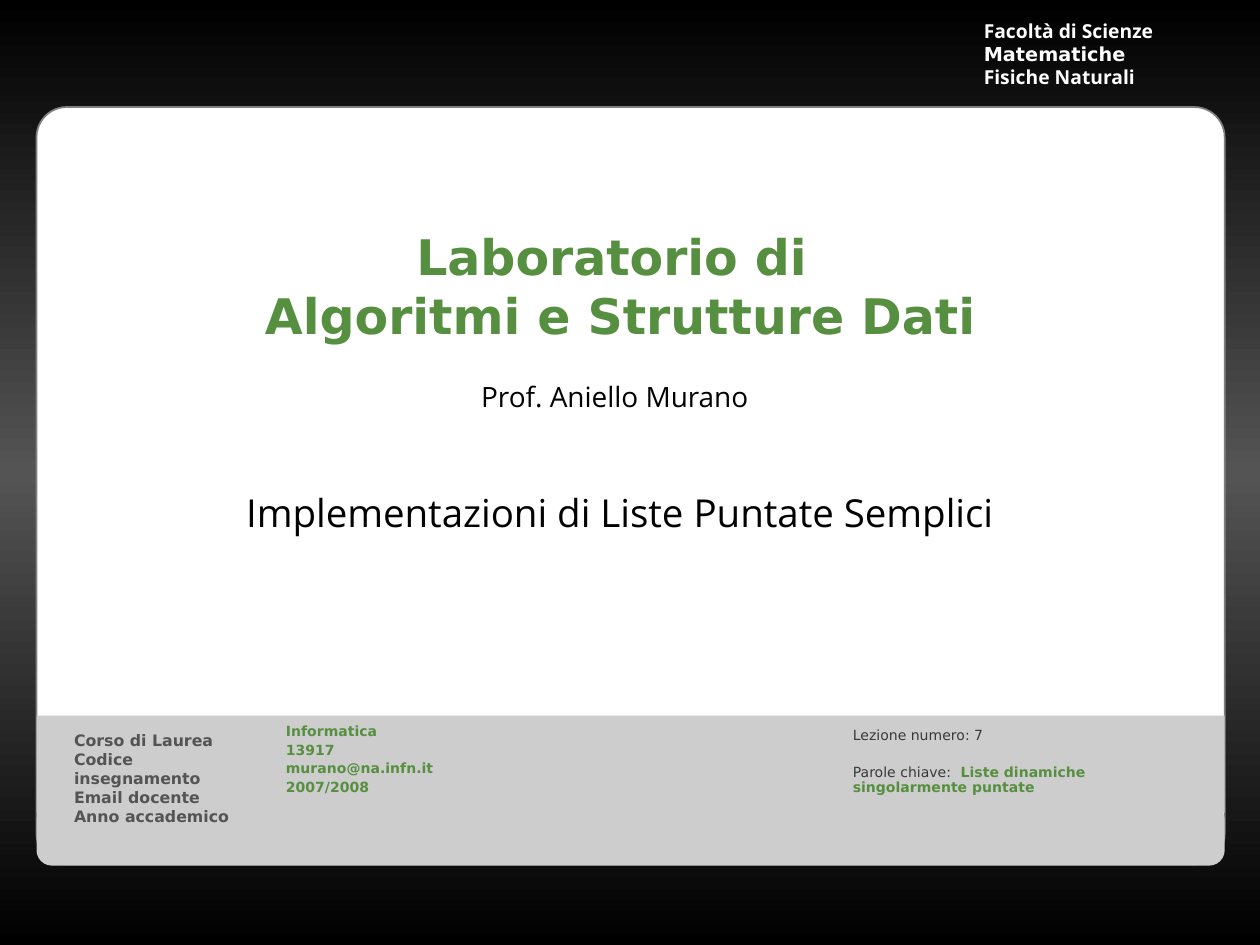
from collections import namedtuple
from copy import deepcopy

from pptx import Presentation
from pptx import util as u
from pptx.dml.color import RGBColor
from pptx.enum import shapes, text

COLORS = {
    "black": "000000", "glow": "545454", "white": "FFFFFF", "edge": "808080",
    "band": "CDCDCD", "green": "568F3F", "label": "545454", "lesson": "393939",
}
SANS, OPEN = "DejaVu Sans", "Open Sans"
Box = namedtuple("Box", "left top width height")


def rgb(name):
    return RGBColor.from_string(COLORS[name])


def part(box, left, top, width, height):
    return Box(int(box.left + box.width * left / 100),
               int(box.top + box.height * top / 100),
               int(box.width * width / 100),
               int(box.height * height / 100))


def add_panel(slide, kind, box, fill, corner=None, edge=None):
    panel = slide.shapes.add_shape(kind, *box)
    panel.shadow.inherit = False
    panel.fill.solid()
    panel.fill.fore_color.rgb = rgb(fill)
    if corner:
        panel.adjustments[0] = corner
    if edge:
        panel.line.color.rgb = rgb(edge)
        panel.line.width = u.Pt(1)
    else:
        panel.line.fill.background()


def style(run, size, font, color, bold=False):
    run.font.size = u.Pt(size)
    run.font.name = font
    run.font.bold = bold
    run.font.color.rgb = rgb(color)


def add_text(slide, box, lines, size, font, color, bold=False, fill=None,
             align=text.PP_ALIGN.LEFT, spacing=None, gap=0):
    area = slide.shapes.add_textbox(*box)
    if fill:
        area.fill.solid()
        area.fill.fore_color.rgb = rgb(fill)
    frame = area.text_frame
    frame.word_wrap = True
    frame.text = "\n".join(lines)
    for index, paragraph in enumerate(frame.paragraphs):
        paragraph.alignment = align
        if spacing:
            paragraph.line_spacing = spacing
        if index:
            paragraph.space_before = u.Pt(gap)
        for run in paragraph.runs:
            style(run, size, font, color, bold)
    return frame


def paint_background(slide):
    fill = slide.background.fill
    fill.gradient()
    fill.gradient_angle = 90
    stops = slide.element.xpath(".//a:gsLst")[0]
    stops.append(deepcopy(stops[0]))
    shades = zip(fill.gradient_stops, (0, 0.5, 1), ("black", "glow", "black"))
    for stop, position, shade in shades:
        stop.position = position
        stop.color.rgb = rgb(shade)


def add_faculty(slide, box):
    faculty = add_text(
        slide, box, ["Facoltà di Scienze", "Matematiche", "Fisiche Naturali"],
        11, OPEN, "white", True)
    faculty.vertical_anchor = text.MSO_ANCHOR.MIDDLE
    faculty.paragraphs[1].runs[0].font.name = SANS


def add_course(slide, box):
    add_panel(slide, shapes.MSO_SHAPE.ROUNDED_RECTANGLE, box, "white",
              0.04, "edge")
    headings = [
        ((4.03, 14.98, 90.14, 28.12),
         "Laboratorio di \vAlgoritmi e Strutture Dati", 28, SANS, "green", True),
        ((11.98, 49.58, 74.23, 16.64),
         "Implementazioni di Liste Puntate Semplici", 22, OPEN, "black", False),
        ((11.56, 35.11, 74.23, 5.49),
         "Prof. Aniello Murano", 16, OPEN, "black", False),
    ]
    for place, wording, size, font, color, bold in headings:
        add_text(slide, part(box, *place), [wording], size, font, color, bold,
                 "white", text.PP_ALIGN.CENTER)


def add_details(slide, box):
    add_panel(slide, shapes.MSO_SHAPE.ROUNDED_RECTANGLE,
              part(box, 0, 58.82, 100, 41.18), "band", 0.25)
    add_panel(slide, shapes.MSO_SHAPE.RECTANGLE,
              part(box, 0, 0, 100, 64.71), "band")
    add_text(slide, part(box, 2.12, 5.88, 16.44, 58.82),
             ["Corso di Laurea", "Codice insegnamento", "Email docente",
              "Anno accademico"], 9, SANS, "label", True)
    add_text(slide, part(box, 19.94, 1.68, 32.66, 55.46),
             ["Informatica", "13917", "murano@na.infn.it", "2007/2008"],
             8, SANS, "green", True, "band", spacing=0.9, gap=2)
    lesson = add_text(slide, part(box, 67.66, 4.2, 31.18, 55.46),
                      ["Lezione numero: 7", "Parole chiave: "],
                      8, SANS, "lesson", fill="band", spacing=0.9, gap=12.5)
    keywords = lesson.paragraphs[1].add_run()
    keywords.text = " Liste dinamiche singolarmente puntate"
    style(keywords, 8, SANS, "green", True)


def main():
    deck = Presentation()
    deck.slide_width, deck.slide_height = u.Inches(10), u.Inches(7.5)
    slide = deck.slides.add_slide(deck.slide_layouts[6])
    page = Box(0, 0, deck.slide_width, deck.slide_height)
    paint_background(slide)
    add_faculty(slide, part(page, 77.1, 2.93, 18.3, 5.6))
    add_course(slide, part(page, 2.9, 11.33, 94.3, 80.13))
    add_details(slide, part(page, 2.9, 75.73, 94.3, 15.87))
    deck.save("out.pptx")


if __name__ == "__main__":
    main()
